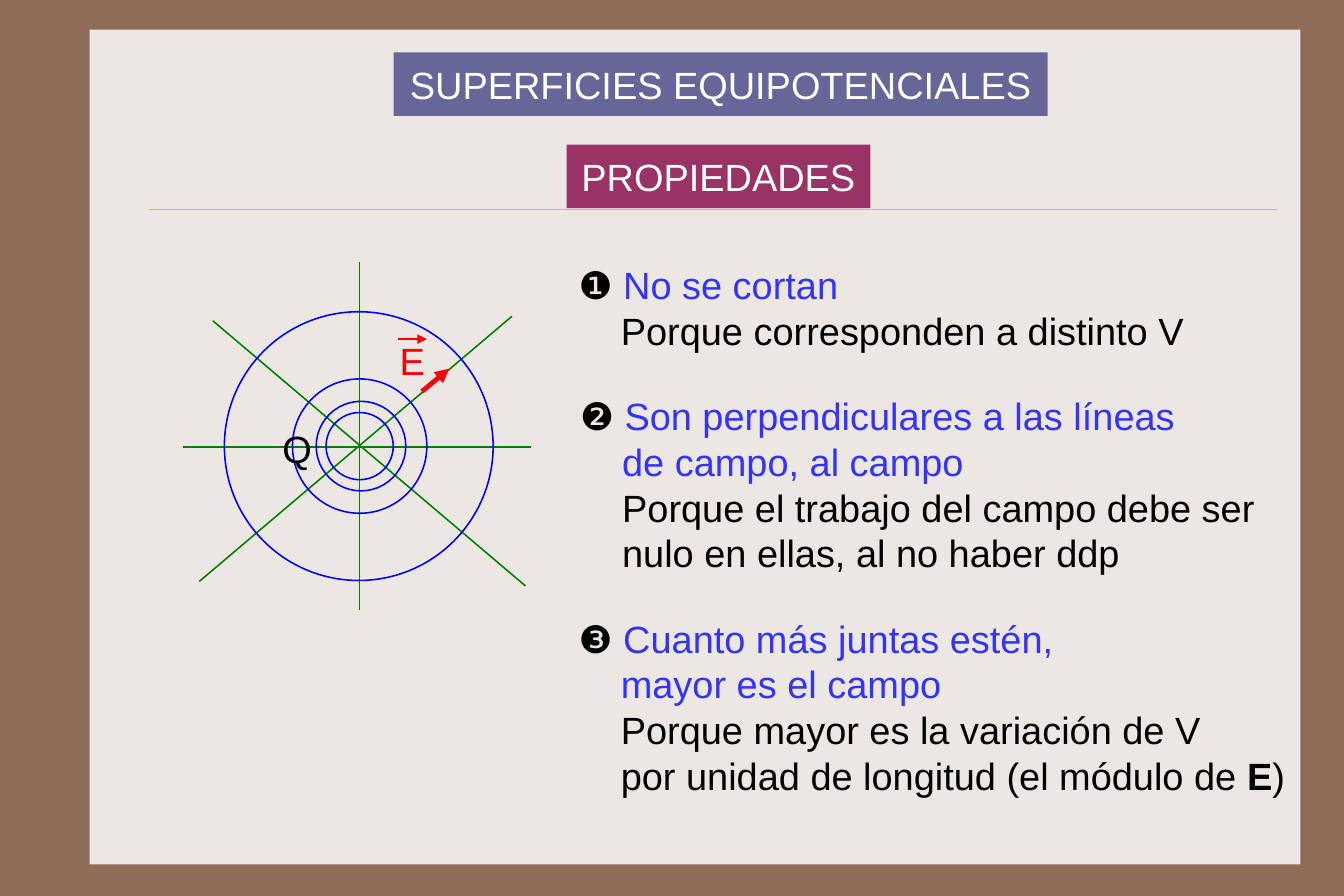
"""Build the slide on the properties of equipotential surfaces."""
from lxml import etree
from pptx import Presentation, util as u
from pptx.dml.color import RGBColor
from pptx.enum import shapes, text
from pptx.oxml.ns import qn

COLORS = {
    "frame": "906D58", "panel": "EDE7E3", "rule": "CBBD83",
    "field": "008000", "surface": "0000FF", "vector": "FF0000",
    "topic": "666699", "section": "993366", "property": "3333FF",
    "black": "000000", "white": "FFFFFF",
}

presentation = Presentation()
presentation.slide_width, presentation.slide_height = u.Pt(850.5), u.Pt(567)
slide = presentation.slides.add_slide(presentation.slide_layouts[6])
slide.background.fill.solid()
slide.background.fill.fore_color.rgb = RGBColor.from_string(COLORS["frame"])


def add_line(start_x, start_y, end_x, end_y, color, width, arrow=False):
    line = slide.shapes.add_connector(
        shapes.MSO_CONNECTOR.STRAIGHT, *map(u.Cm, (start_x, start_y, end_x, end_y)))
    line.line.color.rgb = RGBColor.from_string(COLORS[color])
    line.line.width = u.Pt(width)
    if arrow:
        etree.SubElement(line.line._get_or_add_ln(), qn("a:tailEnd"), type="triangle")
    etree.SubElement(line._element.spPr, qn("a:effectLst"))


def add_run(paragraph, words, color, bold=False):
    run = paragraph.add_run()
    run.text = words
    run.font.name, run.font.size, run.font.bold = "Arial", u.Pt(24), bold
    run.font.color.rgb = RGBColor.from_string(COLORS[color])


panel = slide.shapes.add_shape(
    shapes.MSO_SHAPE.RECTANGLE, u.Cm(2), u.Cm(0.66), u.Cm(27.03), u.Cm(18.64))
panel.shadow.inherit = False
panel.fill.solid()
panel.fill.fore_color.rgb = RGBColor.from_string(COLORS["panel"])
panel.line.fill.background()
add_line(3.33, 4.67, 28.5, 4.67, "rule", 0.25)

for field_line in [(4.09, 9.98, 11.86, 9.98), (8.03, 13.61, 8.03, 5.84),
                   (4.45, 12.98, 11.43, 7.06), (4.75, 7.16, 11.73, 13.08)]:
    add_line(*field_line, "field", 1)

for center_x, diameter in [(8.03, 1.5), (8.03, 3), (8.01, 6), (8.06, 2)]:
    surface = slide.shapes.add_shape(
        shapes.MSO_SHAPE.OVAL, u.Cm(center_x - diameter / 2), u.Cm(9.96 - diameter / 2),
        u.Cm(diameter), u.Cm(diameter))
    surface.shadow.inherit = False
    surface.fill.background()
    surface.line.color.rgb = RGBColor.from_string(COLORS["surface"])
    surface.line.width = u.Pt(1)

properties = [
    (12.67, 5.72, 15.85, 2.31, [
        [("❶ ", "black"), ("No se cortan", "property")],
        [("Porque corresponden a distinto V", "black")]]),
    (12.67, 13.61, 16.41, 4.37, [
        [("❸ ", "black"), ("Cuanto más juntas estén,", "property")],
        [("mayor es el campo", "property")],
        [("Porque mayor es la variación de V", "black")],
        [("por unidad de longitud (el módulo de ", "black"),
         ("E", "black", True), (")", "black")]]),
    (12.7, 8.64, 16.41, 4.37, [
        [("❷ ", "black"), ("Son perpendiculares a las líneas", "property")],
        [("de campo, al campo", "property")],
        [("Porque el trabajo del campo debe ser", "black")],
        [("nulo en ellas, al no haber ddp", "black")]]),
]
for left, top, width, height, lines in properties:
    box = slide.shapes.add_textbox(*map(u.Cm, (left, top, width, height)))
    frame = box.text_frame
    frame.word_wrap = True
    for index, runs in enumerate(lines):
        paragraph = frame.add_paragraph() if index else frame.paragraphs[0]
        paragraph.line_spacing = u.Pt(28.9)
        if index:
            paragraph._p.get_or_add_pPr().set("marL", str(u.Cm(0.94)))
        for run in runs:
            add_run(paragraph, *run)

for left, top, width, words, color in [
        (12.65, 3.23, 6.78, "PROPIEDADES", "section"),
        (8.79, 1.17, 14.6, "SUPERFICIES EQUIPOTENCIALES", "topic")]:
    title = slide.shapes.add_shape(
        shapes.MSO_SHAPE.RECTANGLE, *map(u.Cm, (left, top, width, 1.42)))
    title.shadow.inherit = False
    title.fill.solid()
    title.fill.fore_color.rgb = RGBColor.from_string(COLORS[color])
    title.line.fill.background()
    frame = title.text_frame
    frame.word_wrap = False
    frame.vertical_anchor = text.MSO_ANCHOR.MIDDLE
    frame.margin_left = frame.margin_right = u.Cm(0.3)
    frame.margin_top = frame.margin_bottom = u.Cm(0.2)
    frame.paragraphs[0].alignment = text.PP_ALIGN.CENTER
    add_run(frame.paragraphs[0], words, "white")

for left, top, width, height, words, color in [
        (6.05, 9.37, 1.17, 1.27, "Q", "black"),
        (8.61, 7.42, 1.19, 1.4, "E", "vector")]:
    label = slide.shapes.add_textbox(*map(u.Cm, (left, top, width, height)))
    label.text_frame.word_wrap = False
    label.text_frame.paragraphs[0].alignment = text.PP_ALIGN.CENTER
    add_run(label.text_frame.paragraphs[0], words, color)

add_line(9.42, 8.74, 10.03, 8.23, "vector", 3, arrow=True)
add_line(8.89, 7.57, 9.53, 7.57, "vector", 1, arrow=True)

presentation.save("out.pptx")
